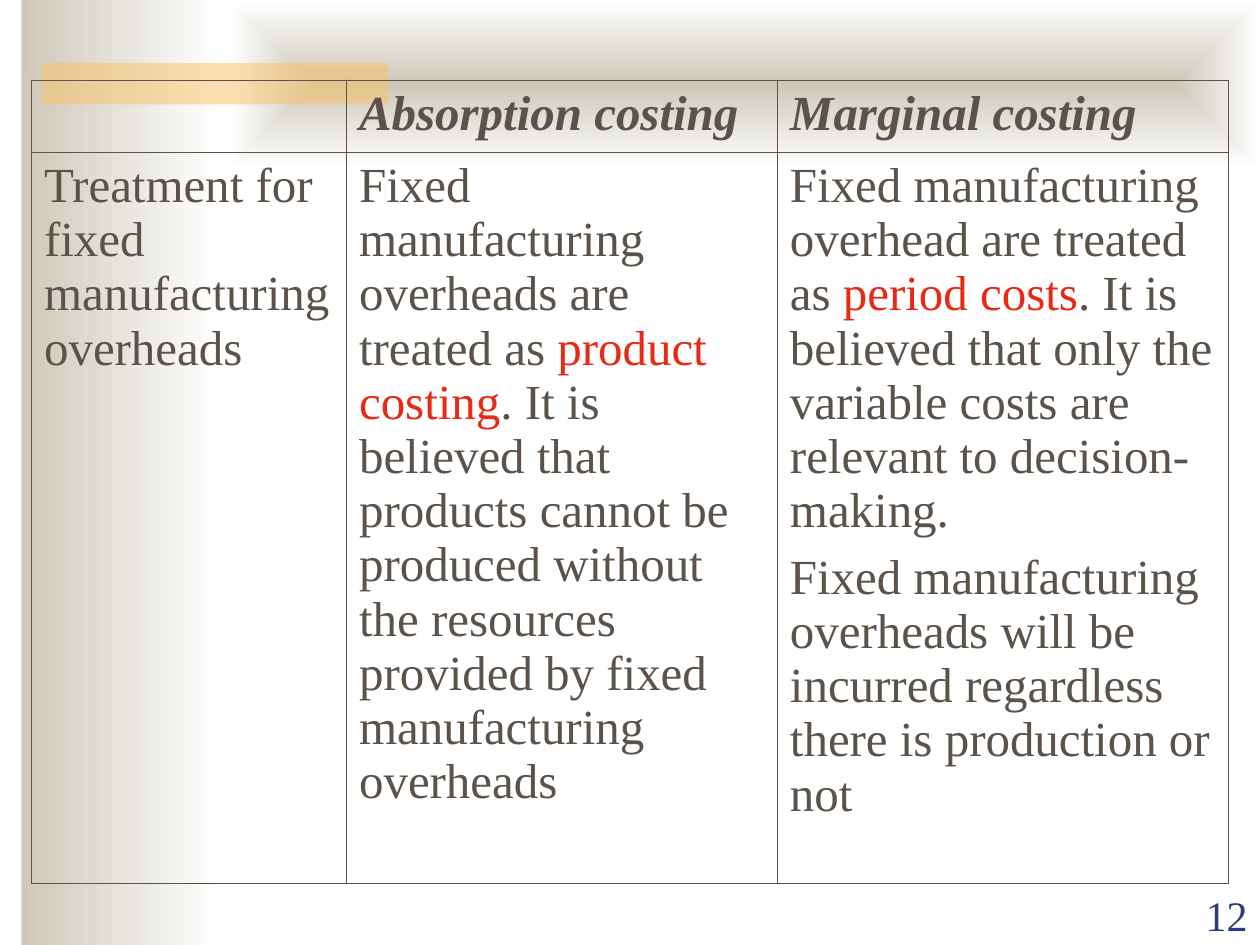
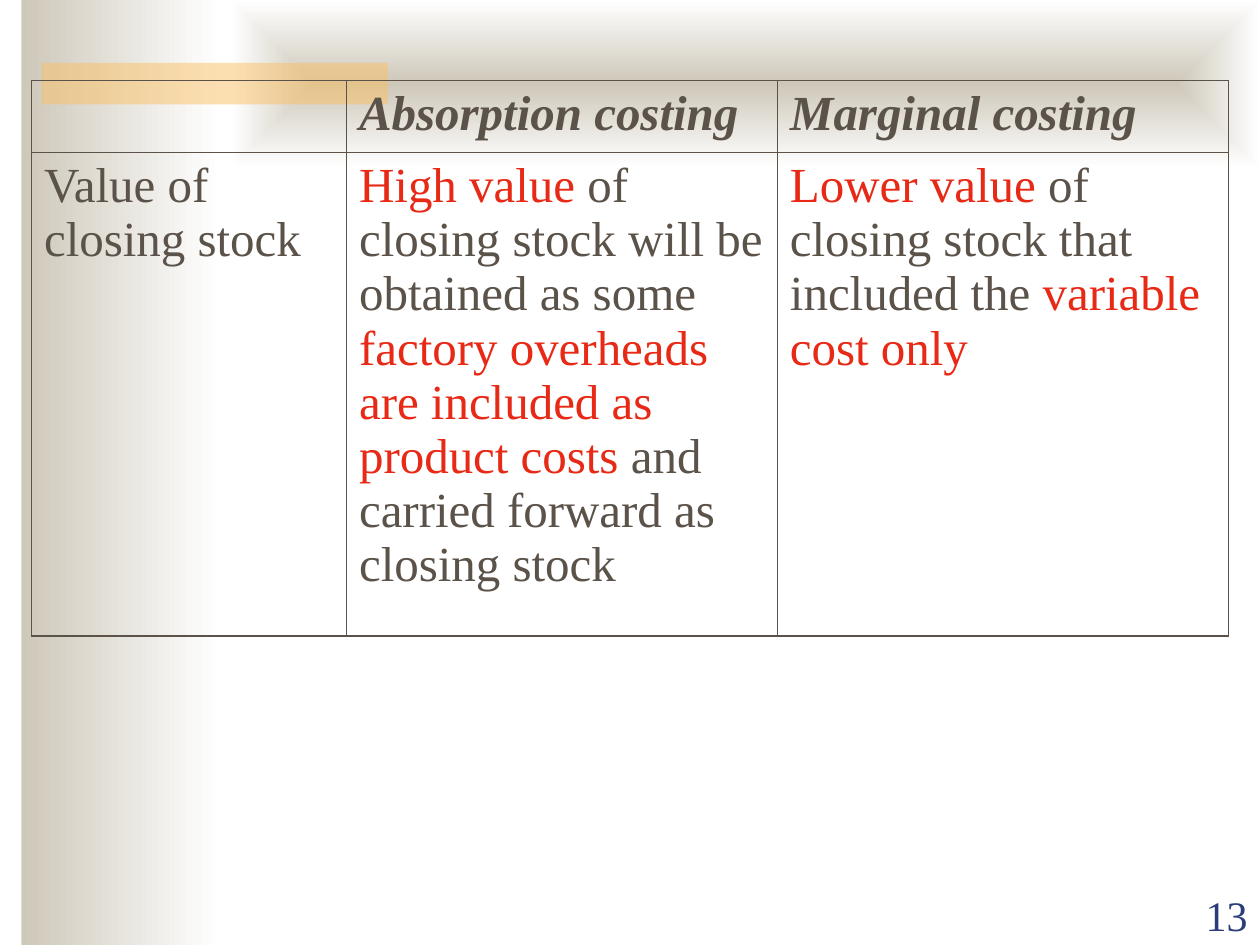
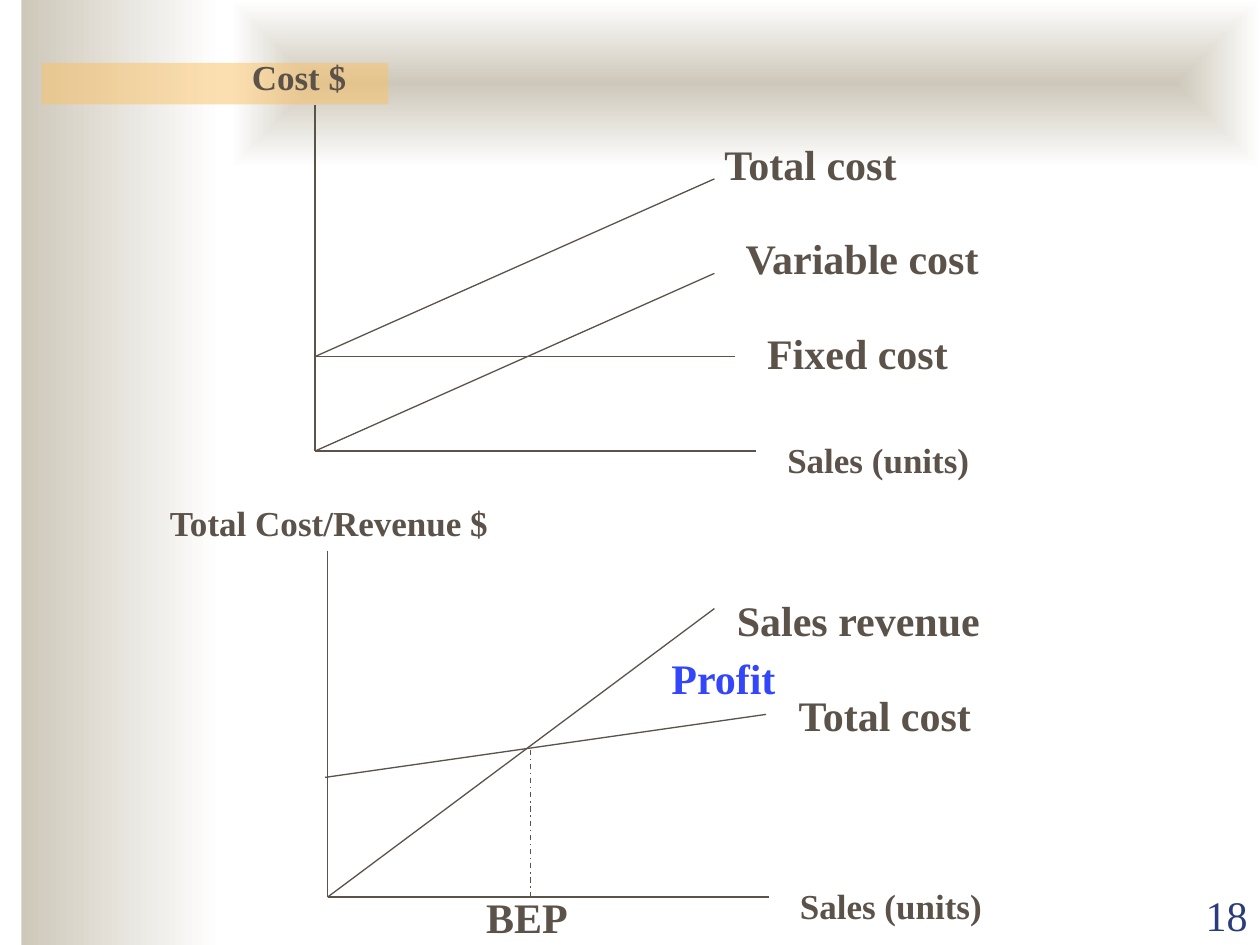
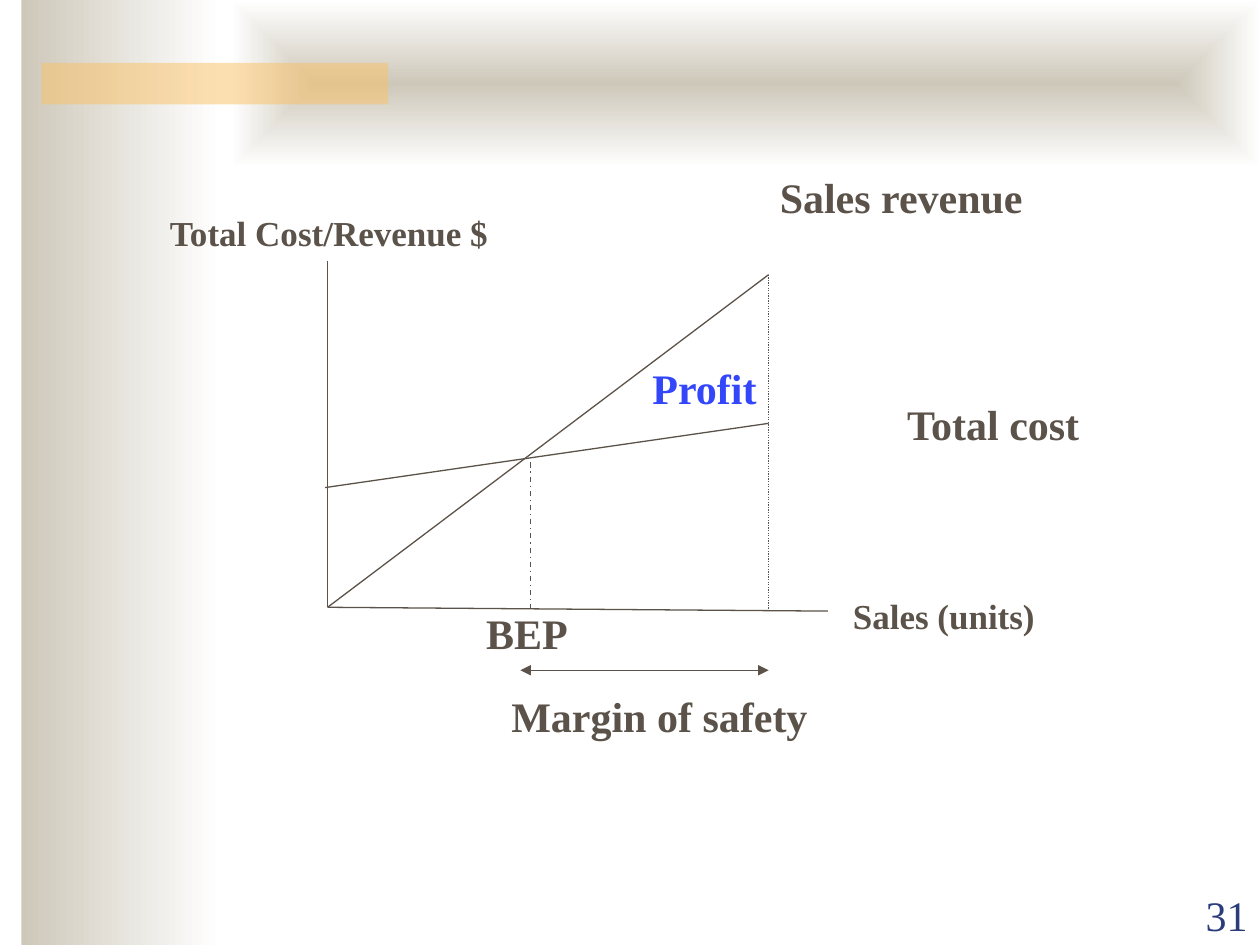
import lxml.etree
import pptx
import pptx.dml.color
import pptx.enum.dml
import pptx.enum.shapes
import pptx.enum.text
import pptx.util
from pptx.oxml.ns import qn

Inches = pptx.util.Inches
Pt = pptx.util.Pt
Dash = pptx.enum.dml.MSO_LINE

FONT = "Times New Roman"
COLORS = {
    "text": "5B5249",
    "highlight": "E72915",
    "profit": "3346F9",
    "number": "2A3D7A",
    "sand": "CEC8BA",
    "white": "FFFFFF",
    "accent": "FAC164",
}
# Label text: width of its box and font size
LABELS = {
    "Total cost": (1.62, 24),
    "Variable cost": (2.1, 24),
    "Fixed cost": (1.66, 24),
    "Sales revenue": (2.15, 24),
    "Profit": (1.05, 24),
    "BEP": (0.87, 24),
    "Margin of safety": (2.57, 24),
    "Cost $": (0.97, 20),
    "Sales (units)": (1.67, 20),
    "Total Cost/Revenue $": (2.77, 20),
}


def rgb(name):
    return pptx.dml.color.RGBColor.from_string(COLORS[name])


def set_font(font, size, color, bold=False, italic=False):
    font.name = FONT
    font.size = Pt(size)
    font.color.rgb = rgb(color)
    font.bold = bold
    font.italic = italic


# Shared background, kept on the slide master
def add_band(slide, left, top, width, height):
    shape = slide.shapes.add_shape(
        pptx.enum.shapes.MSO_SHAPE.RECTANGLE,
        Inches(left), Inches(top), Inches(width), Inches(height))
    shape.shadow.inherit = False
    shape.line.fill.background()
    return shape


def fill_gradient(shape):
    shape.fill.gradient()
    shape.fill.gradient_angle = 0
    for stop, color in zip(shape.fill.gradient_stops, ("sand", "white")):
        stop.color.rgb = rgb(color)


def build_master(presentation, slide):
    side_band = add_band(slide, 0.17, 0, 1.58, 7.5)
    fill_gradient(side_band)

    title_band = add_band(slide, 1.83, 0, 8.17, 1.33)
    fill_gradient(title_band)
    gradient = title_band.element.spPr.find(qn("a:gradFill"))
    gradient_path = lxml.etree.Element(qn("a:path"), path="rect")
    lxml.etree.SubElement(gradient_path, qn("a:fillToRect"),
                          l="50000", t="50000", r="50000", b="50000")
    gradient.replace(gradient.find(qn("a:lin")), gradient_path)

    accent_bar = add_band(slide, 0.33, 0.5, 2.75, 0.33)
    accent_bar.fill.solid()
    accent_bar.fill.fore_color.rgb = rgb("accent")
    accent_color = accent_bar.element.spPr.find(
        qn("a:solidFill")).find(qn("a:srgbClr"))
    lxml.etree.SubElement(accent_color, qn("a:alpha"), val="50000")

    master_tree = presentation.slide_master.shapes.element
    for index, shape in enumerate((side_band, title_band, accent_bar)):
        shape.element.nvSpPr.cNvPr.set("id", str(101 + index))
        master_tree.insert(2 + index, shape.element)


def add_slide_number(slide, number):
    box = slide.shapes.add_textbox(Inches(9), Inches(7.01), Inches(1), Inches(0.5))
    text_frame = box.text_frame
    text_frame.word_wrap = True
    text_frame.vertical_anchor = pptx.enum.text.MSO_ANCHOR.BOTTOM
    text_frame.text = str(number)
    paragraph = text_frame.paragraphs[0]
    paragraph.alignment = pptx.enum.text.PP_ALIGN.RIGHT
    set_font(paragraph.runs[0].font, 24, "number")


# Comparison table
def set_borders(cell, row, column, last_row, last_column):
    on_edge = {
        "a:lnL": column == 0,
        "a:lnR": column == last_column,
        "a:lnT": row == 0,
        "a:lnB": row == last_row,
    }
    properties = cell._tc.get_or_add_tcPr()
    for index, (tag, outer) in enumerate(on_edge.items()):
        border = lxml.etree.Element(qn(tag), w=str(Pt(1.08 if outer else 0.45)))
        fill = lxml.etree.SubElement(border, qn("a:solidFill"))
        lxml.etree.SubElement(fill, qn("a:srgbClr"), val=COLORS["text"])
        properties.insert(index, border)


def write_cell(cell, text, header):
    """Each line is a paragraph; parts between asterisks are highlighted."""
    for index, line in enumerate(text.split("\n")):
        if index == 0:
            paragraph = cell.text_frame.paragraphs[0]
        else:
            paragraph = cell.text_frame.add_paragraph()
            paragraph.space_before = Pt(7)
        for position, part in enumerate(line.split("*")):
            if part:
                run = paragraph.add_run()
                run.text = part
                color = "highlight" if position % 2 else "text"
                set_font(run.font, 28, color, header, header)


def add_comparison(slide, left, top, body_height, body):
    rows = [("", "Absorption costing", "Marginal costing"), body]
    widths = (2.5, 3.42, 3.58)
    heights = (0.57, body_height)
    table = slide.shapes.add_table(
        len(rows), len(widths), Inches(left), Inches(top),
        Inches(sum(widths)), Inches(sum(heights))).table
    table.first_row = False
    table.horz_banding = False
    for column, width in zip(table.columns, widths):
        column.width = Inches(width)
    for row, height in zip(table.rows, heights):
        row.height = Inches(height)
    for row_index, texts in enumerate(rows):
        for column_index, text in enumerate(texts):
            cell = table.cell(row_index, column_index)
            cell.fill.background()
            set_borders(cell, row_index, column_index,
                        len(rows) - 1, len(widths) - 1)
            write_cell(cell, text, header=row_index == 0)


# Line diagrams, placed from the top of the vertical axis
class Diagram:
    def __init__(self, slide, left, top):
        self.slide = slide
        self.left = left
        self.top = top

    def line(self, start, end, dash=None, arrow=False):
        connector = self.slide.shapes.add_connector(
            pptx.enum.shapes.MSO_CONNECTOR.STRAIGHT,
            Inches(self.left + start[0]), Inches(self.top + start[1]),
            Inches(self.left + end[0]), Inches(self.top + end[1]))
        connector.line.color.rgb = rgb("text")
        connector.line.width = Pt(0.75)
        if dash:
            connector.line.dash_style = dash
        properties = connector.element.spPr
        if arrow:
            lxml.etree.SubElement(properties.find(qn("a:ln")),
                                  qn("a:tailEnd"), type="triangle")
        lxml.etree.SubElement(properties, qn("a:effectLst"))

    def label(self, text, position, color="text"):
        width, size = LABELS[text]
        box = self.slide.shapes.add_textbox(
            Inches(self.left + position[0]), Inches(self.top + position[1]),
            Inches(width), Inches(0.5 if size == 24 else 0.44))
        text_frame = box.text_frame
        text_frame.word_wrap = False
        text_frame.text = text
        set_font(text_frame.paragraphs[0].runs[0].font, size, color, bold=True)
        text_frame.auto_size = pptx.enum.text.MSO_AUTO_SIZE.SHAPE_TO_FIT_TEXT


def add_cost_diagram(slide, left, top):
    diagram = Diagram(slide, left, top)
    origin, fixed_start = (0, 2.75), (0, 2)
    diagram.line((0, 0), origin)
    diagram.line(origin, (3.5, 2.75))
    diagram.line(fixed_start, (3.33, 2))
    diagram.line(fixed_start, (3.17, 0.59))
    diagram.line(origin, (3.17, 1.34))
    for index, text in enumerate(("Total cost", "Variable cost", "Fixed cost")):
        diagram.label(text, (3.15 + index * 0.17, 0.22 + index * 0.75))
    diagram.label("Cost $", (-0.6, -0.44))
    diagram.label("Sales (units)", (3.65, 2.6))


def add_break_even(slide, left, top, axis_end, revenue_end, cost_end,
                   bep_line, label_places):
    diagram = Diagram(slide, left, top)
    origin = (0, 2.75)
    diagram.line((0, 0), origin)
    diagram.line(origin, axis_end)
    diagram.line(origin, revenue_end)
    diagram.line((-0.02, 1.8), cost_end)
    diagram.line((1.61, bep_line[0]), (1.61, bep_line[1]), Dash.DASH_DOT)
    diagram.label("Total Cost/Revenue $", (-1.35, -0.44))
    for text, place in label_places.items():
        diagram.label(text, place, "profit" if text == "Profit" else "text")
    return diagram


def add_margin_of_safety(diagram, sales, revenue_top, axis_bottom):
    diagram.line((sales, revenue_top), (sales, axis_bottom), Dash.ROUND_DOT)
    middle = (2.24, 3.25)
    for end in (1.53, sales):
        diagram.line(middle, (end, 3.25), arrow=True)
    diagram.label("Margin of safety", (1.36, 3.36))


def main():
    presentation = pptx.Presentation()
    presentation.slide_width = Inches(10)
    presentation.slide_height = Inches(7.5)
    slides = []
    for number in (12, 13, 18, 31):
        slide = presentation.slides.add_slide(presentation.slide_layouts[6])
        if not slides:
            build_master(presentation, slide)
        add_slide_number(slide, number)
        slides.append(slide)
    overheads, stock, cost_charts, safety = slides

    # Treatment of overheads
    add_comparison(overheads, 0.25, 0.64, 5.8, (
        "Treatment for fixed manufacturing overheads",
        "Fixed manufacturing overheads are treated as* product costing*. It is "
        "believed that products cannot be produced without the resources "
        "provided by fixed manufacturing overheads",
        "Fixed manufacturing overhead are treated as *period costs*. It is "
        "believed that only the variable costs are relevant to "
        "decision-making.\nFixed manufacturing overheads will be incurred "
        "regardless there is production or not"))

    # Value of closing stock
    add_comparison(stock, 0.25, 0.64, 3.84, (
        "Value of closing stock",
        "*High value* of closing stock will be obtained as some *factory "
        "overheads are included as product costs* and carried forward as "
        "closing stock",
        "*Lower value* of closing stock that included the *variable cost only*"))

    # Cost behaviour and break-even point
    add_cost_diagram(cost_charts, 2.5, 0.83)
    add_break_even(
        cost_charts, 2.6, 4.37, axis_end=(3.5, 2.75), revenue_end=(3.07, 0.46),
        cost_end=(3.48, 1.3), bep_line=(1.58, 2.77), label_places={
            "Sales revenue": (3.15, 0.3),
            "Sales (units)": (3.65, 2.6),
            "Total cost": (3.64, 1.05),
            "Profit": (2.63, 0.76),
            "BEP": (1.16, 2.66),
        })

    # Margin of safety
    diagram = add_break_even(
        safety, 2.6, 2.07, axis_end=(3.97, 2.78), revenue_end=(3.5, 0.11),
        cost_end=(3.5, 1.29), bep_line=(1.6, 2.78), label_places={
            "Sales revenue": (3.49, -0.76),
            "Sales (units)": (4.07, 2.6),
            "Total cost": (4.5, 1.04),
            "Profit": (2.48, 0.76),
            "BEP": (1.16, 2.7),
        })
    add_margin_of_safety(diagram, 3.5, 0.11, 2.78)

    presentation.save("out.pptx")


if __name__ == "__main__":
    main()
